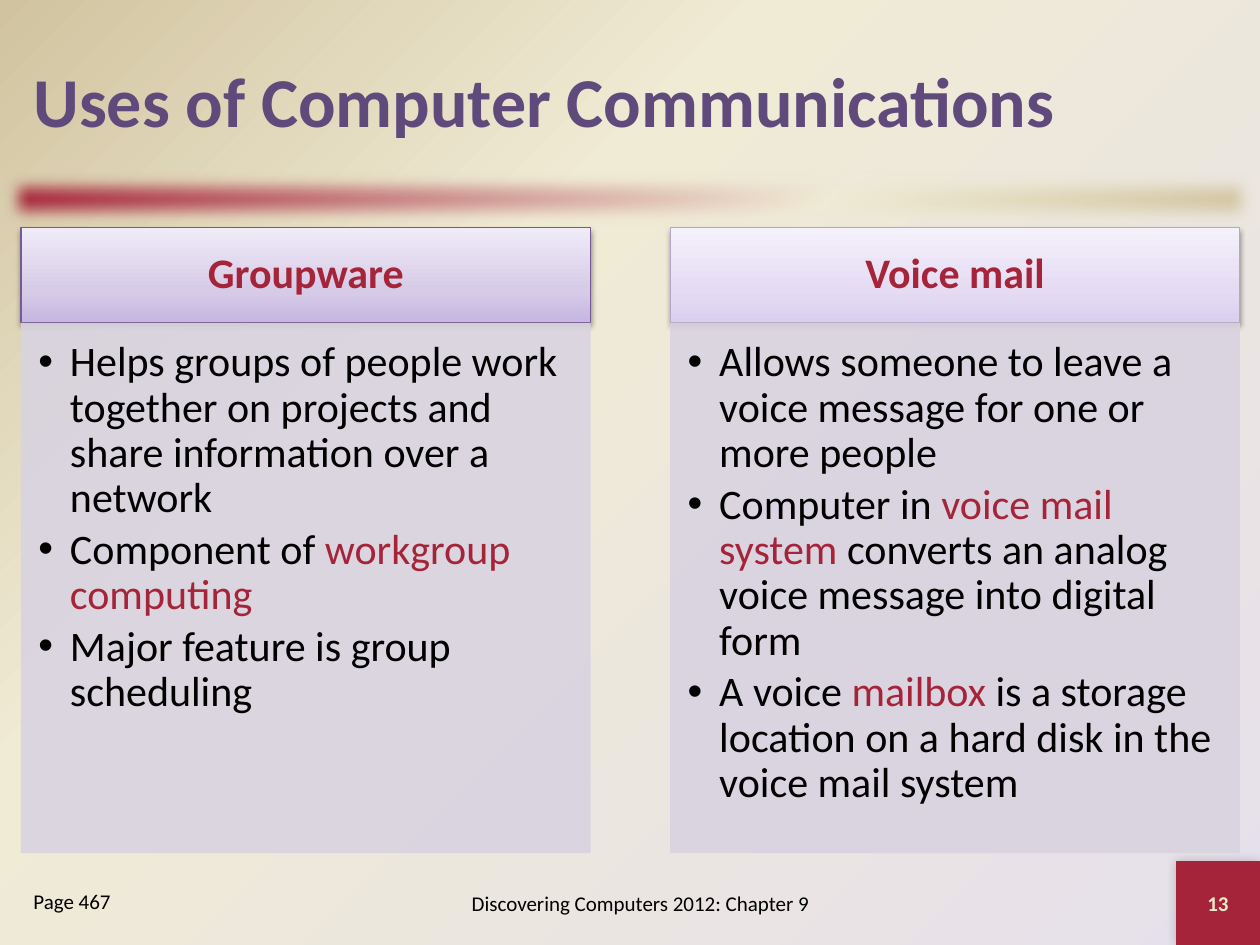
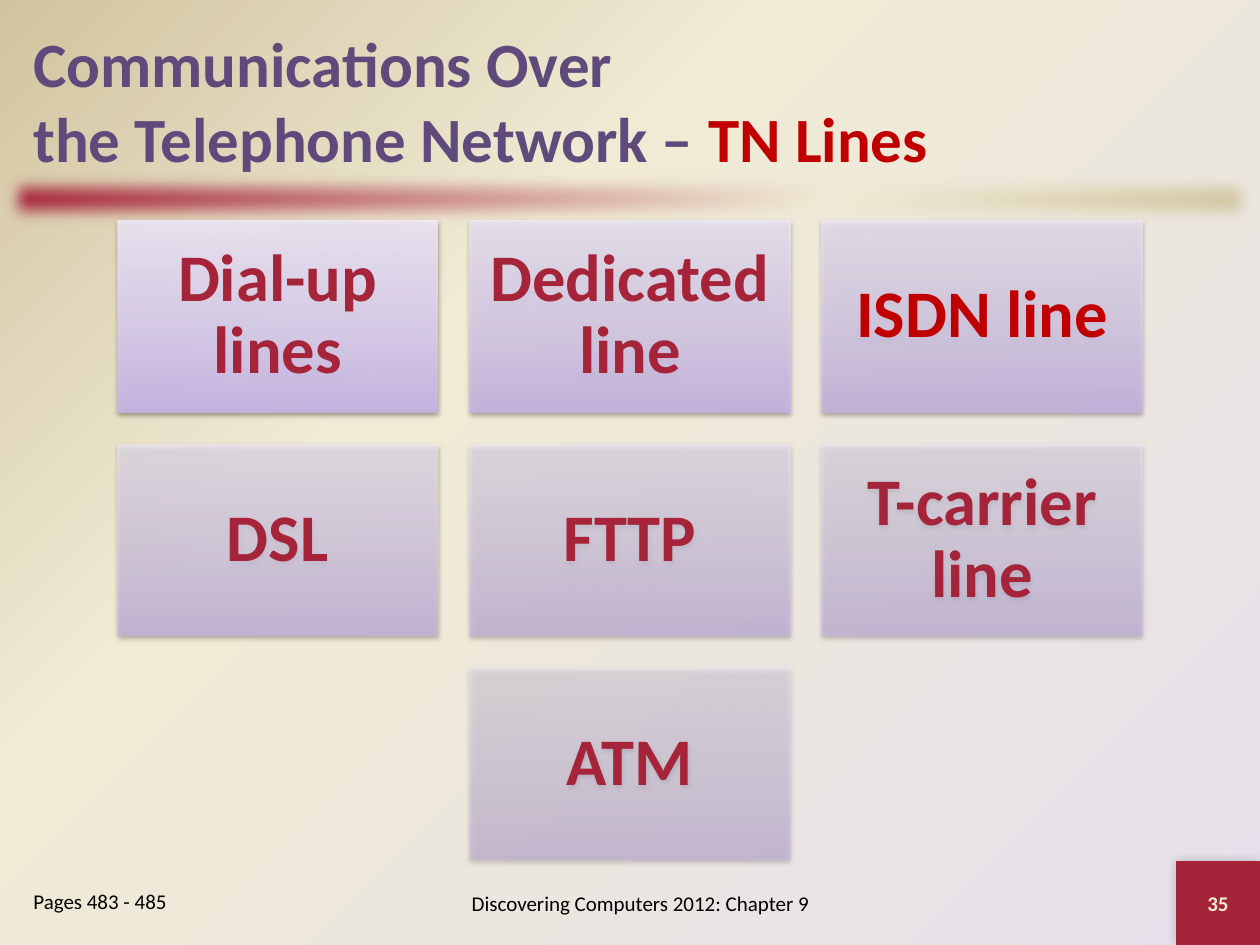
from lxml import etree
from pptx import Presentation
from pptx.dml.color import RGBColor
from pptx.enum.shapes import MSO_SHAPE as Preset
from pptx.enum.text import MSO_ANCHOR as Anchor, PP_ALIGN as Align
from pptx.oxml.ns import qn
from pptx.util import Pt

COLORS = {
    "red": "A52439", "alert": "C00000", "purple": "604A7B", "black": "000000",
    "cream": "F0EBD5", "tan": "D1C39F", "lilac": "E6E0EC", "number": "EEEBCA",
    "panel": "D8D3E0",
}
SLIDE_W, SLIDE_H = 720, 540
THEME_STOPS = (65, COLORS["cream"]), (100, COLORS["tan"])
TILE_STOPS = (0, "C9B5E8"), (35, "D8CBEE"), (100, "F0EAF9")
SOFT_SHADOW = (38, 3.15, 1.57, 90)
TAB_SHADOW = (20, 6, 0, 225)


def child(parent, tag, **attributes):
    element = etree.SubElement(parent, qn(tag))
    for name, value in attributes.items():
        element.set(name, str(value))
    return element


def set_alpha(color_element, percent):
    child(color_element, "a:alpha", val=percent * 1000)


def set_gradient(fill, holder, stops, angle=None, alpha=100):
    fill.solid()
    solid = next(holder.iter(qn("a:solidFill")))
    gradient = etree.Element(qn("a:gradFill"), rotWithShape="1")
    stop_list = child(gradient, "a:gsLst")
    for position, color in stops:
        stop = child(stop_list, "a:gs", pos=position * 1000)
        color_element = child(stop, "a:srgbClr", val=color)
        if alpha < 100:
            set_alpha(color_element, alpha)
    if angle is None:
        focus = child(gradient, "a:path", path="circle")
        child(focus, "a:fillToRect", l=100000, t=100000)
    else:
        child(gradient, "a:lin", ang=angle * 60000, scaled=0)
    solid.getparent().replace(solid, gradient)


class Deck:
    font = "Calibri"

    def __init__(self):
        self.prs = Presentation()
        self.prs.slide_width, self.prs.slide_height = Pt(SLIDE_W), Pt(SLIDE_H)
        master = self.prs.slide_master
        set_gradient(master.background.fill, master.element.cSld,
                     [(0, COLORS["lilac"]), *THEME_STOPS])
        self.slide = None

    def add_slide(self, title_lines, title_size, pages, number):
        self.slide = self.prs.slides.add_slide(self.prs.slide_layouts[6])
        self.band()
        tab = self.box(672, 492, 48, 48, shadow=TAB_SHADOW)
        self.solid(tab, "red")
        self.paragraph(tab.text_frame, [(number, "number")], 12, bold=True, align=Align.CENTER)
        self.label(12, 12, 696, 90, title_lines, title_size, bold=True)
        self.label(216, 498, 300, 36, [[("Discovering Computers 2012: Chapter 9", "black")]],
                   12, align=Align.CENTER)
        self.label(12, 504, 132, 36, [[(pages, "black")]], 12, anchor=Anchor.TOP)

    def band(self):
        band = self.box(0, 96, SLIDE_W, 36)
        set_gradient(band.fill, band.element.spPr, [(0, COLORS["red"]), *THEME_STOPS], 45)
        effects = band.element.spPr.find(qn("a:effectLst"))
        child(effects, "a:softEdge", rad=Pt(10))

    def box(self, left, top, width, height, shadow=None):
        box = self.slide.shapes.add_shape(Preset.RECTANGLE, Pt(left), Pt(top), Pt(width), Pt(height))
        box.line.fill.background()
        box.shadow.inherit = False
        if shadow:
            opacity, blur, distance, direction = shadow
            effects = box.element.spPr.find(qn("a:effectLst"))
            outer = child(effects, "a:outerShdw", blurRad=Pt(blur), dist=Pt(distance),
                          dir=direction * 60000, algn="ctr", rotWithShape=0)
            set_alpha(child(outer, "a:srgbClr", val=COLORS["black"]), opacity)
        self.frame(box.text_frame, Anchor.MIDDLE)
        return box

    def frame(self, frame, anchor, margins=(7.2, 3.6, 7.2, 3.6)):
        frame.word_wrap = True
        frame.vertical_anchor = anchor
        left, top, right, bottom = margins
        frame.margin_left, frame.margin_top = Pt(left), Pt(top)
        frame.margin_right, frame.margin_bottom = Pt(right), Pt(bottom)

    def solid(self, box, color, alpha=100):
        box.fill.solid()
        box.fill.fore_color.rgb = RGBColor.from_string(COLORS[color])
        if alpha < 100:
            set_alpha(next(box.element.spPr.iter(qn("a:srgbClr"))), alpha)

    def label(self, left, top, width, height, lines, size, bold=False,
              align=Align.LEFT, anchor=Anchor.MIDDLE):
        label = self.slide.shapes.add_textbox(Pt(left), Pt(top), Pt(width), Pt(height))
        self.frame(label.text_frame, anchor)
        paragraph = label.text_frame.paragraphs[0]
        paragraph.alignment = align
        for index, runs in enumerate(lines):
            if index:
                paragraph.add_line_break()
            self.runs(paragraph, runs, size, bold)

    def runs(self, paragraph, runs, size, bold):
        for text, color in runs:
            run = paragraph.add_run()
            run.text = text
            run.font.name, run.font.size, run.font.bold = self.font, Pt(size), bold
            run.font.color.rgb = RGBColor.from_string(COLORS[color])

    def paragraph(self, frame, runs, size, bold=False, align=Align.LEFT,
                  line_spacing=1.0, bullet=False):
        paragraph = frame.paragraphs[0]
        if paragraph.runs:
            paragraph = frame.add_paragraph()
        paragraph.alignment = align
        paragraph.line_spacing = line_spacing
        if bullet:
            paragraph.space_after = Pt(3.6)
            properties = paragraph._p.get_or_add_pPr()
            properties.set("marL", str(Pt(18)))
            properties.set("indent", str(-Pt(18)))
            child(properties, "a:buFont", typeface="Arial")
            child(properties, "a:buChar", char="•")
        self.runs(paragraph, runs, size, bold)

    def column(self, left, heading, stops, border, bullets):
        width, top, header_height = 325.5, 130, 54.5
        header = self.box(left, top, width, header_height, SOFT_SHADOW)
        set_gradient(header.fill, header.element.spPr, stops, 270)
        header.line.color.rgb = RGBColor.from_string(border)
        header.line.width = Pt(0.75)
        self.paragraph(header.text_frame, [(heading, "red")], 24, True, Align.CENTER, 0.9)
        panel = self.box(left, top + header_height, width, 303)
        self.solid(panel, "panel", 90)
        self.frame(panel.text_frame, Anchor.TOP, (10, 10, 13.5, 15))
        for runs in bullets:
            self.paragraph(panel.text_frame, runs, 24, line_spacing=0.9, bullet=True)

    def tile(self, left, top, width, height, text, color, alpha):
        tile = self.box(left, top, width, height, SOFT_SHADOW)
        set_gradient(tile.fill, tile.element.spPr, TILE_STOPS, 270, alpha)
        self.frame(tile.text_frame, Anchor.MIDDLE, (11.5,) * 4)
        self.paragraph(tile.text_frame, [(text, color)], 38, True, Align.CENTER, 0.9)


def build_uses(deck):
    deck.add_slide([[("Uses of Computer Communications", "purple")]], 40, "Page 467", "13")
    deck.column(12, "Groupware", [(0, "C6B6E0"), (35, "D7CCE8"), (100, "F0EBF7")], "745B93", [
        [("Helps groups of people work together on projects and share information over a network",
          "black")],
        [("Component of ", "black"), ("workgroup computing", "red")],
        [("Major feature is group scheduling", "black")],
    ])
    deck.column(383, "Voice mail", [(0, "DBCFEF"), (35, "E5DCF3"), (100, "F5F1FB")], "B4A9C5", [
        [("Allows someone to leave a voice message for one or more people", "black")],
        [("Computer in ", "black"), ("voice mail system", "red"),
         (" converts an analog voice message into digital form", "black")],
        [("A voice ", "black"), ("mailbox", "red"),
         (" is a storage location on a hard disk in the voice mail system", "black")],
    ])


def build_lines(deck):
    deck.add_slide([
        [("Communications Over ", "purple")],
        [("the Telephone Network – ", "purple"), ("TN Lines", "alert")],
    ], 36, "Pages 483 - 485", "35")
    line_rows = [["Dial-up lines", "Dedicated line", "ISDN line"],
                 ["DSL", "FTTP", "T-carrier line"],
                 ["ATM"]]
    width, height, gap, top = 183, 109.5, 18.3, 126
    last = sum(map(len, line_rows)) - 1
    order = 0
    for row, names in enumerate(line_rows):
        row_width = len(names) * (width + gap) - gap
        for column, name in enumerate(names):
            deck.tile((SLIDE_W - row_width) / 2 + column * (width + gap),
                      top + row * (height + gap), width, height, name,
                      "alert" if name == "ISDN line" else "red",
                      round(90 - 40 * order / last))
            order += 1


def main():
    deck = Deck()
    build_uses(deck)
    build_lines(deck)
    deck.prs.save("out.pptx")


if __name__ == "__main__":
    main()
